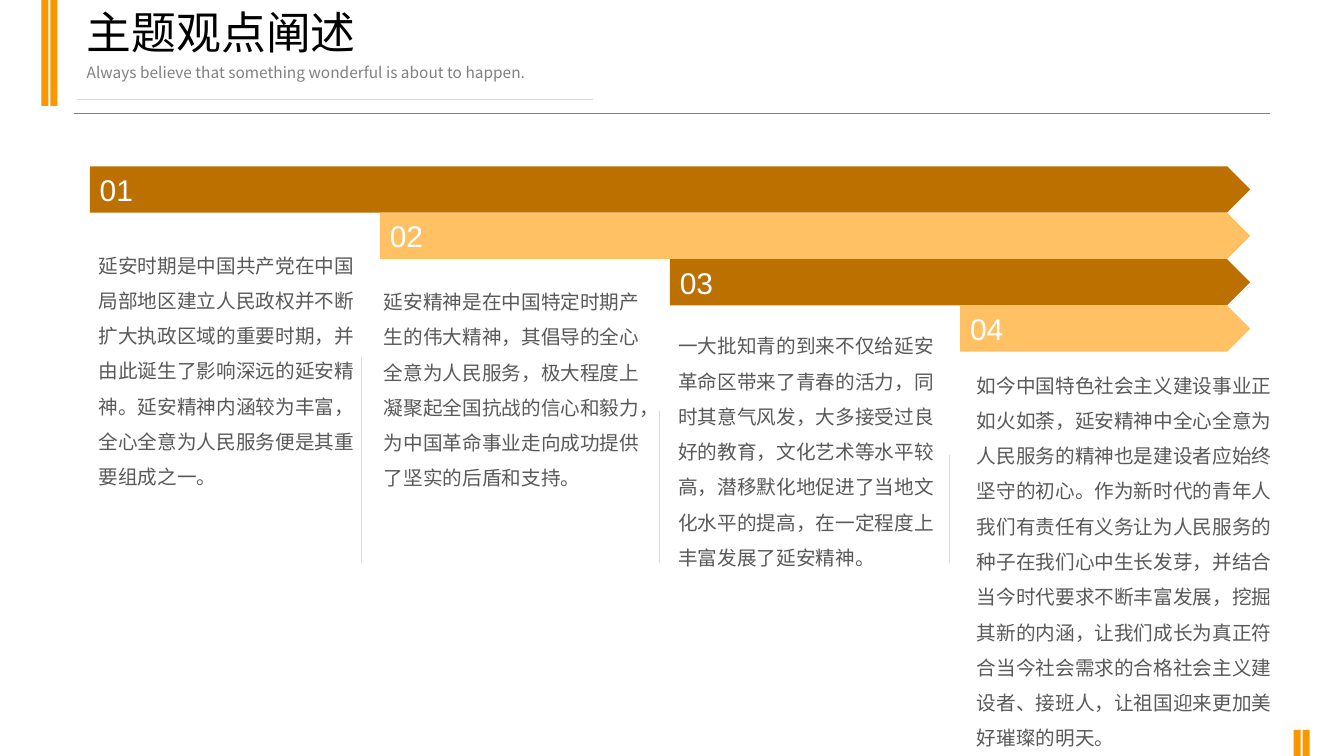
"""Build a slide with four stepped arrows, each heading a column of text."""
from lxml.etree import SubElement
from pptx import Presentation
from pptx.dml.color import RGBColor
from pptx.enum.shapes import MSO_CONNECTOR as Connector, MSO_SHAPE as Shape
from pptx.enum.text import MSO_ANCHOR as Anchor, MSO_AUTO_SIZE as AutoSize, PP_ALIGN as Align
from pptx.oxml.ns import qn
from pptx.util import Inches, Pt

TITLE = "主题观点阐述"
SUBTITLE = "Always believe that something wonderful is about to happen."
VIEWPOINTS = [
    ("01", "延安时期是中国共产党在中国局部地区建立人民政权并不断扩大执政区域的重要时期，并由此诞生了影响深远的延安精神。延安精神内涵较为丰富，全心全意为人民服务便是其重要组成之一。",
     (0.88, 2.35, 2.76, 2.57)),
    ("02", "延安精神是在中国特定时期产生的伟大精神，其倡导的全心全意为人民服务，极大程度上凝聚起全国抗战的信心和毅力，为中国革命事业走向成功提供了坚实的后盾和支持。",
     (3.71, 2.71, 2.76, 2.22)),
    ("03", "一大批知青的到来不仅给延安革命区带来了青春的活力，同时其意气风发，大多接受过良好的教育，文化艺术等水平较高，潜移默化地促进了当地文化水平的提高，在一定程度上丰富发展了延安精神。",
     (6.63, 3.15, 2.76, 2.57)),
    ("04", "如今中国特色社会主义建设事业正如火如荼，延安精神中全心全意为人民服务的精神也是建设者应始终坚守的初心。作为新时代的青年人我们有责任有义务让为人民服务的种子在我们心中生长发芽，并结合当今时代要求不断丰富发展，挖掘其新的内涵，让我们成长为真正符合当今社会需求的合格社会主义建设者、接班人，让祖国迎来更加美好璀璨的明天。",
     (9.59, 3.54, 3.21, 3.99)),
]
DIVIDERS = [(3.58, 3.54), (6.54, 4.08), (9.42, 4.51)]
DIVIDER_BOTTOM = 5.59
STRIPES = [(0.41, 0, 1.05), (0.5, 0, 1.05), (12.83, 7.24, 0.26), (12.92, 7.24, 0.26)]
STRIPE_WIDTH = 0.07
ARROWS_LEFT, ARROWS_RIGHT, ARROWS_TOP, ARROW_HEIGHT = 0.89, 12.4, 1.65, 0.46

LATIN, HAN = "Arial", "Noto Sans CJK SC"
BLACK = RGBColor(0x00, 0x00, 0x00)
WHITE = RGBColor(0xFF, 0xFF, 0xFF)
GREY = RGBColor(0x80, 0x80, 0x80)
DARK_GREY = RGBColor(0x59, 0x59, 0x59)
LIGHT_GREY = RGBColor(0xD9, 0xD9, 0xD9)
ORANGE = RGBColor(0xFA, 0x96, 0x00)
ARROW_COLOURS = [RGBColor(0xBB, 0x70, 0x00), RGBColor(0xFF, 0xC1, 0x63)]


def write(holder, text, size, colour, font, spacing=1.0, anchor=Anchor.TOP):
    frame = holder.text_frame
    frame.text = text
    frame.word_wrap = True
    frame.auto_size = AutoSize.NONE
    frame.vertical_anchor = anchor
    paragraph = frame.paragraphs[0]
    paragraph.alignment = Align.LEFT
    paragraph.line_spacing = spacing
    paragraph.space_before = Pt(0)
    run = paragraph.runs[0]
    run.font.size = Pt(size)
    run.font.color.rgb = colour
    run.font.name = font
    SubElement(run.font._element, qn("a:ea"), typeface=HAN)
    return paragraph


def place(holder, left, top, width, height):
    holder.left, holder.top = Inches(left), Inches(top)
    holder.width, holder.height = Inches(width), Inches(height)


def add_block(slide, kind, left, top, width, height, colour):
    block = slide.shapes.add_shape(kind, *map(Inches, (left, top, width, height)))
    block.shadow.inherit = False
    block.fill.solid()
    block.fill.fore_color.rgb = colour
    block.line.fill.background()
    return block


def add_rule(slide, start, end, colour, width):
    rule = slide.shapes.add_connector(Connector.STRAIGHT, *map(Inches, start + end))
    rule.line.color.rgb = colour
    rule.line.width = Pt(width)
    SubElement(rule._element.spPr, qn("a:effectLst"))


def add_header(slide):
    add_rule(slide, (0.73, 1.12), (12.6, 1.12), GREY, 0.25)
    add_rule(slide, (0.76, 0.99), (5.88, 0.99), LIGHT_GREY, 0.5)
    for left, top, height in STRIPES:
        add_block(slide, Shape.RECTANGLE, left, top, STRIPE_WIDTH, height, ORANGE)
    title, subtitle = slide.shapes.title, slide.placeholders[1]
    place(title, 0.76, 0.06, 8.67, 0.58)
    write(title, TITLE, 32, BLACK, LATIN, 0.9, Anchor.MIDDLE)
    place(subtitle, 0.76, 0.6, 7.06, 0.29)
    properties = write(subtitle, SUBTITLE, 11, GREY, HAN, 0.9)._p.get_or_add_pPr()
    properties.set("marL", "0")
    properties.set("indent", "0")
    SubElement(properties, qn("a:buNone"))


def add_viewpoints(slide):
    step = (ARROWS_RIGHT - ARROWS_LEFT) / len(VIEWPOINTS)
    for index, (number, statement, area) in enumerate(VIEWPOINTS):
        left = ARROWS_LEFT + index * step
        arrow = add_block(slide, Shape.PENTAGON, left, ARROWS_TOP + index * ARROW_HEIGHT,
                          ARROWS_RIGHT - left, ARROW_HEIGHT, ARROW_COLOURS[index % 2])
        write(arrow, number, 21.4, WHITE, LATIN, anchor=Anchor.MIDDLE)
        column = slide.shapes.add_textbox(*map(Inches, area))
        write(column, statement, 14, DARK_GREY, HAN, 1.5)
    for x, top in DIVIDERS:
        add_rule(slide, (x, top), (x, DIVIDER_BOTTOM), LIGHT_GREY, 0.5)


def main():
    deck = Presentation()
    deck.slide_width, deck.slide_height = Inches(13.33), Inches(7.5)
    slide = deck.slides.add_slide(deck.slide_layouts[1])
    add_header(slide)
    add_viewpoints(slide)
    deck.save("out.pptx")


if __name__ == "__main__":
    main()
